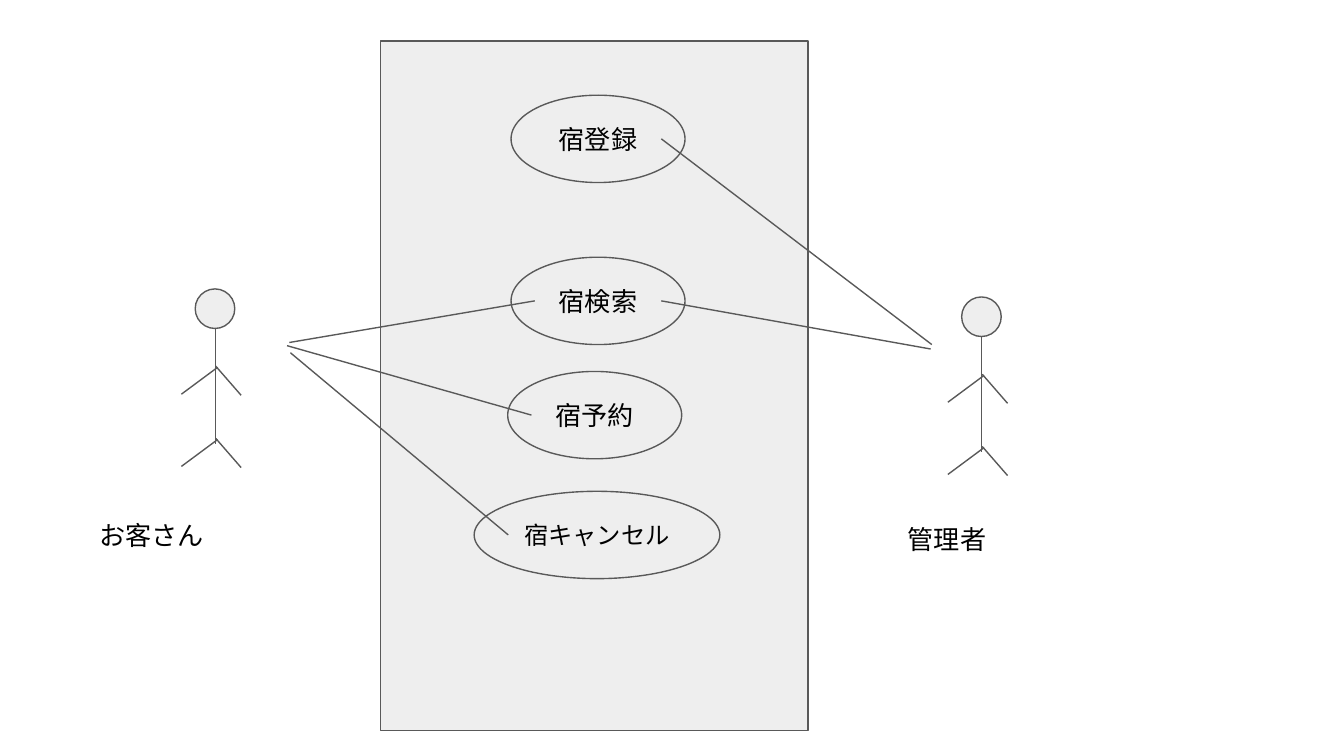
from lxml import etree
from pptx import Presentation
from pptx.dml.color import RGBColor
from pptx.enum.shapes import MSO_CONNECTOR, MSO_SHAPE
from pptx.enum.text import MSO_AUTO_SIZE, PP_ALIGN
from pptx.oxml.ns import qn
from pptx.util import Pt

STRAIGHT = MSO_CONNECTOR.STRAIGHT
RECTANGLE, OVAL = MSO_SHAPE.RECTANGLE, MSO_SHAPE.OVAL
FIT_SHAPE = MSO_AUTO_SIZE.SHAPE_TO_FIT_TEXT
LEFT, CENTER = PP_ALIGN.LEFT, PP_ALIGN.CENTER
LEFT_SIDE, RIGHT_SIDE = 1, 3
COLORS = {"fill": "EEEEEE", "line": "595959", "text": "000000"}

prs = Presentation()
prs.slide_width, prs.slide_height = Pt(720), Pt(405)
slide = prs.slides.add_slide(prs.slide_layouts[6])
shapes = slide.shapes


def outline(part):
    part.line.color.rgb = RGBColor.from_string(COLORS["line"])
    part.line.width = Pt(0.75)
    if part.shape_type is not None and hasattr(part, "fill"):
        part.fill.solid()
        part.fill.fore_color.rgb = RGBColor.from_string(COLORS["fill"])
        part.shadow.inherit = False
    else:
        sp_pr = part._element.find(qn("p:spPr"))
        etree.SubElement(sp_pr, qn("a:effectLst"))


def add_label(text, x, y, width, height, size, align):
    label = shapes.add_textbox(Pt(x), Pt(y), Pt(width), Pt(height))
    frame = label.text_frame
    frame.word_wrap = True
    frame.auto_size = FIT_SHAPE
    frame.margin_left = frame.margin_right = Pt(7.2)
    frame.margin_top = frame.margin_bottom = Pt(7.2)
    frame.text = text
    paragraph = frame.paragraphs[0]
    paragraph.alignment = align
    font = paragraph.runs[0].font
    font.name, font.size = "Arial", Pt(size)
    font.color.rgb = RGBColor.from_string(COLORS["text"])
    return label


system = shapes.add_shape(RECTANGLE, Pt(203.8), Pt(22), Pt(229), Pt(369.5))
outline(system)

head_size = 21.2
limbs = [(10.7, 21.2, 10.7, 83)]
for joint in (0, 38.7):
    limbs.append((12, 42 + joint, -7.4, 56.4 + joint))
    limbs.append((11, 41.4 + joint, 24.6, 57 + joint))

actors = [
    ("お客さん", 104.6, 154.8, 46, 270.9, 134),
    ("管理者", 515.2, 159.1, 479.2, 273.2, 132),
]
for name, x, y, name_x, name_y, name_width in actors:
    head = shapes.add_shape(OVAL, Pt(x), Pt(y), Pt(head_size), Pt(head_size))
    outline(head)
    for x1, y1, x2, y2 in limbs:
        limb = shapes.add_connector(
            STRAIGHT, Pt(x + x1), Pt(y + y1), Pt(x + x2), Pt(y + y2))
        outline(limb)
    add_label(name, name_x, name_y, name_width, 31.5, 14, LEFT)

use_cases = [
    ("宿登録", 273.8, 51, 93.2, 67.8, 31.5, 14),
    ("宿検索", 273.8, 137.8, 93.2, 67.8, 31.5, 14),
    ("宿予約", 272, 199, 93.2, 67.8, 31.5, 14),
    ("宿キャンセル", 254, 263.2, 131.6, 95, 30, 13),
]
use_case_height = 46.8
use_case_labels = {}
for name, x, y, width, label_width, label_height, size in use_cases:
    oval = shapes.add_shape(OVAL, Pt(x), Pt(y), Pt(width), Pt(use_case_height))
    outline(oval)
    use_case_labels[name] = add_label(
        name, x + (width - label_width) / 2,
        y + (use_case_height - label_height) / 2,
        label_width, label_height, size, CENTER)

links = [
    ("宿登録", RIGHT_SIDE, 499.2, 184.6),
    ("宿検索", RIGHT_SIDE, 498.6, 187),
    ("宿検索", LEFT_SIDE, 155, 183.5),
    ("宿予約", LEFT_SIDE, 153.8, 185.2),
    ("宿キャンセル", LEFT_SIDE, 155.6, 189),
]
for name, side, actor_x, actor_y in links:
    link = shapes.add_connector(
        STRAIGHT, Pt(actor_x), Pt(actor_y), Pt(actor_x), Pt(actor_y))
    link.end_connect(use_case_labels[name], side)
    outline(link)

prs.save("out.pptx")
